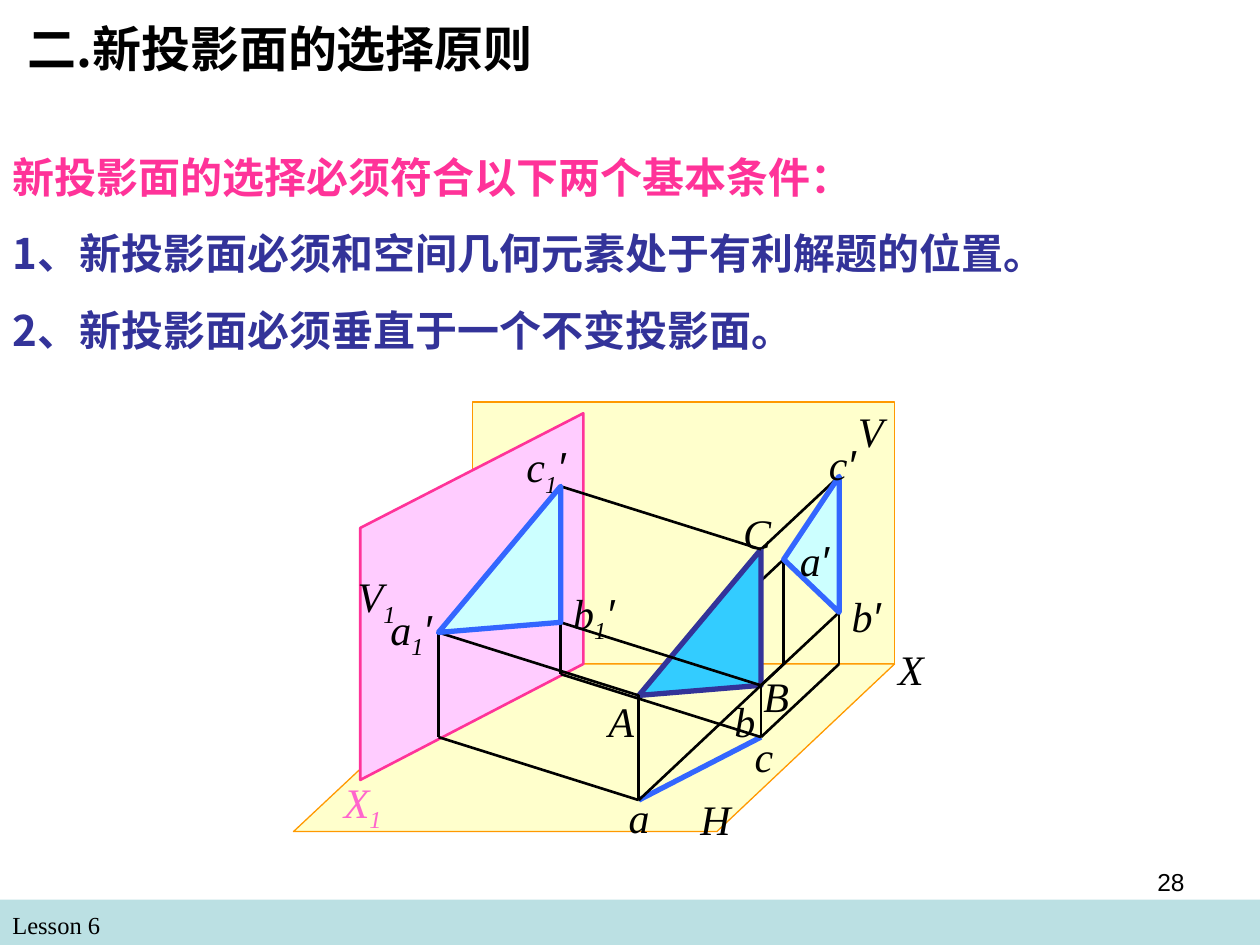
from pptx import Presentation
from pptx.dml.color import RGBColor
from pptx.enum.shapes import MSO_CONNECTOR, MSO_SHAPE
from pptx.enum.text import PP_ALIGN
from pptx.oxml.ns import qn
from pptx.util import Inches, Pt
from lxml import etree

LINE = MSO_CONNECTOR.STRAIGHT
RECT = MSO_SHAPE.RECTANGLE
LEFT, RIGHT = PP_ALIGN.LEFT, PP_ALIGN.RIGHT
SANS, SERIF, HAN = "Arial", "Times New Roman", "Noto Sans CJK SC"
BLACK, BLUE, NAVY, PINK = "000000", "3366FF", "333399", "FF3399"
CREAM, GOLD, AQUA = "FFFFCC", "FF9900", "CCFFFF"


def tint(code):
    """Turn a hex string into a colour."""
    return RGBColor.from_string(code)


def put(para, text, size=24, font=SERIF, color=BLACK, bold=False, italic=False, base=0):
    """Add a run of formatted text to a paragraph."""
    run = para.add_run()
    run.text = text
    face = run.font
    face.size, face.name, face.bold, face.italic = Pt(size), font, bold, italic
    face.color.rgb = tint(color)
    props = run._r.get_or_add_rPr()
    if font == HAN:
        etree.SubElement(props, qn("a:ea"), typeface=font)
    if base:
        props.set("baseline", str(base * 1000))


class Page:
    """Hold the style and the current slide."""

    def __init__(self, slide):
        """Start drawing on the slide."""
        self.slide = slide
        self.home = slide.shapes

    def group(self):
        """Send the elements that follow into a new group."""
        self.home = self.slide.shapes.add_group_shape().shapes

    def close(self):
        """Go back to the slide itself."""
        self.home = self.slide.shapes

    def style(self, shape, fill, line=None, width=0.75):
        """Set fill, line and shadow of a shape."""
        shape.shadow.inherit = False
        shape.fill.solid()
        shape.fill.fore_color.rgb = tint(fill)
        if line:
            shape.line.color.rgb = tint(line)
            shape.line.width = Pt(width)
        else:
            shape.line.fill.background()

    def rect(self, box, fill, line=None):
        """Draw a rectangle."""
        shape = self.home.add_shape(RECT, *map(Inches, box))
        self.style(shape, fill, line)

    def plane(self, points, fill, line, width):
        """Draw a closed polygon."""
        first, *rest = [(Inches(x), Inches(y)) for x, y in points]
        build = self.home.build_freeform(*first, scale=1.0)
        build.add_line_segments(rest, close=True)
        self.style(build.convert_to_shape(), fill, line, width)

    def line(self, start, end, color=BLACK, width=1.5):
        """Draw a straight line."""
        link = self.home.add_connector(LINE, *map(Inches, start + end))
        link.line.color.rgb = tint(color)
        link.line.width = Pt(width)
        etree.SubElement(link._element.spPr, qn("a:effectLst"))

    def text(self, box, rows, align=LEFT, gap=0, **look):
        """Write rows of text and colour in a box."""
        frame = self.home.add_textbox(*map(Inches, box)).text_frame
        frame.word_wrap = True
        for i, (words, color) in enumerate(rows):
            para = frame.add_paragraph() if i else frame.paragraphs[0]
            para.alignment = align
            para.space_before = Pt(gap if i else 0)
            put(para, words, color=color, **look)

    def label(self, name, x, y, color=BLACK):
        """Write a point name with its index and prime."""
        box = self.home.add_textbox(*map(Inches, (x, y, 0.65, 0.5)))
        box.text_frame.word_wrap = True
        para = box.text_frame.paragraphs[0]
        for sign in name:
            put(para, sign, font=SANS if sign == "′" else SERIF, color=color,
                italic=True, base=-25 if sign == "1" else 0)


def draw(page):
    """Draw the planes, the triangle and its projections."""
    A, B, C = (5.07, 5.52), (6.04, 5.44), (6.04, 4.36)
    a, b = (5.07, 6.35), (6.04, 5.85)
    av, bv, cv = (6.22, 4.44), (6.66, 4.86), (6.66, 3.78)
    ax, bx = (6.22, 5.27), (6.66, 5.27)
    space = [A, B, C, a, b]
    a1, b1, c1, a1x, b1x = views = [(x - 1.59, y - 0.5) for x, y in space]

    page.rect((3.75, 3.19, 3.35, 2.08), CREAM, GOLD)
    page.plane([(3.75, 5.27), (2.33, 6.6), (5.69, 6.6), (7.1, 5.27)], CREAM, GOLD, 0.75)
    for start, end in [(cv, C), (av, A)]:
        page.line(start, end)
    page.plane([C, B, A], "33CCFF", NAVY, 3)
    page.line(a, b, BLUE, 3)
    for start, end in [(bv, bx), (av, ax), (A, a), (bx, b), (ax, a), (bv, B), (B, b)]:
        page.line(start, end)
    page.plane([cv, bv, av], AQUA, BLUE, 3)
    for name, x, y in [
        ("V", 6.71, 3.17), ("A", 4.73, 5.47), ("H", 5.46, 6.25), ("C", 5.8, 3.98),
        ("B", 5.96, 5.27), ("c′", 6.48, 3.43), ("b′", 6.66, 4.64), ("X", 7.03, 5.06),
        ("a′", 6.25, 4.19), ("a", 4.89, 6.23), ("b", 5.73, 5.47), ("c", 5.89, 5.75),
    ]:
        page.label(name, x, y)

    page.plane([(2.86, 6.19), (4.63, 5.27), (4.63, 3.28), (2.86, 4.19)], "FFCCFF", PINK, 1.5)
    page.label("V1", 2.74, 4.48)
    page.label("X1", 2.63, 6.11, "FF66CC")
    for start, end in [*zip(space, views), (a1, a1x), (b1, b1x)]:
        page.line(start, end)
    for name, x, y in [("c1′", 4.08, 3.45), ("b1′", 4.45, 4.61), ("a1′", 3, 4.74)]:
        page.label(name, x, y)
    page.plane([c1, b1, a1], AQUA, BLUE, 3)


def main():
    """Build the slide and save it."""
    deck = Presentation()
    deck.slide_width, deck.slide_height = Inches(10), Inches(7.5)
    page = Page(deck.slides.add_slide(deck.slide_layouts[6]))
    page.rect((0, 7.14, 10, 0.36), "BBE0E3")
    page.text((0, 7.17, 4.83, 0.34), [("Lesson 6", BLACK)], size=14)
    page.text((0, 1.15, 8.62, 1.72), [
        ("新投影面的选择必须符合以下两个基本条件：", PINK),
        ("1、新投影面必须和空间几何元素处于有利解题的位置。", NAVY),
        ("2、新投影面必须垂直于一个不变投影面。", NAVY),
    ], gap=15, font=HAN, bold=True)
    page.text((0.12, 0.1, 5.08, 0.57), [("二.新投影面的选择原则", BLACK)],
              size=28, font=HAN, bold=True)
    page.group()
    draw(page)
    page.close()
    page.text((7.17, 6.83, 2.33, 0.52), [("28", BLACK)], RIGHT, size=14, font=SANS)
    deck.save("out.pptx")


if __name__ == "__main__":
    main()
